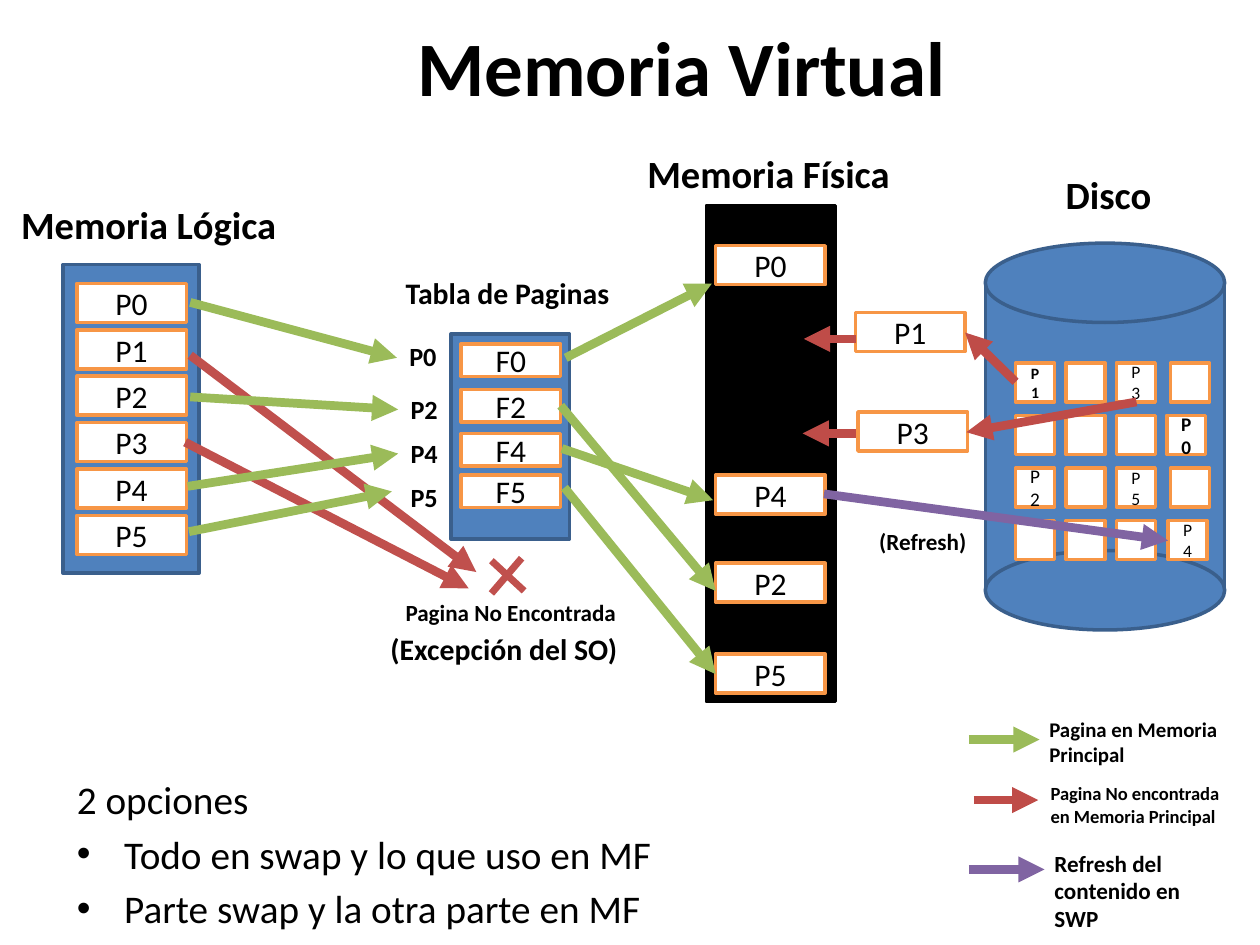
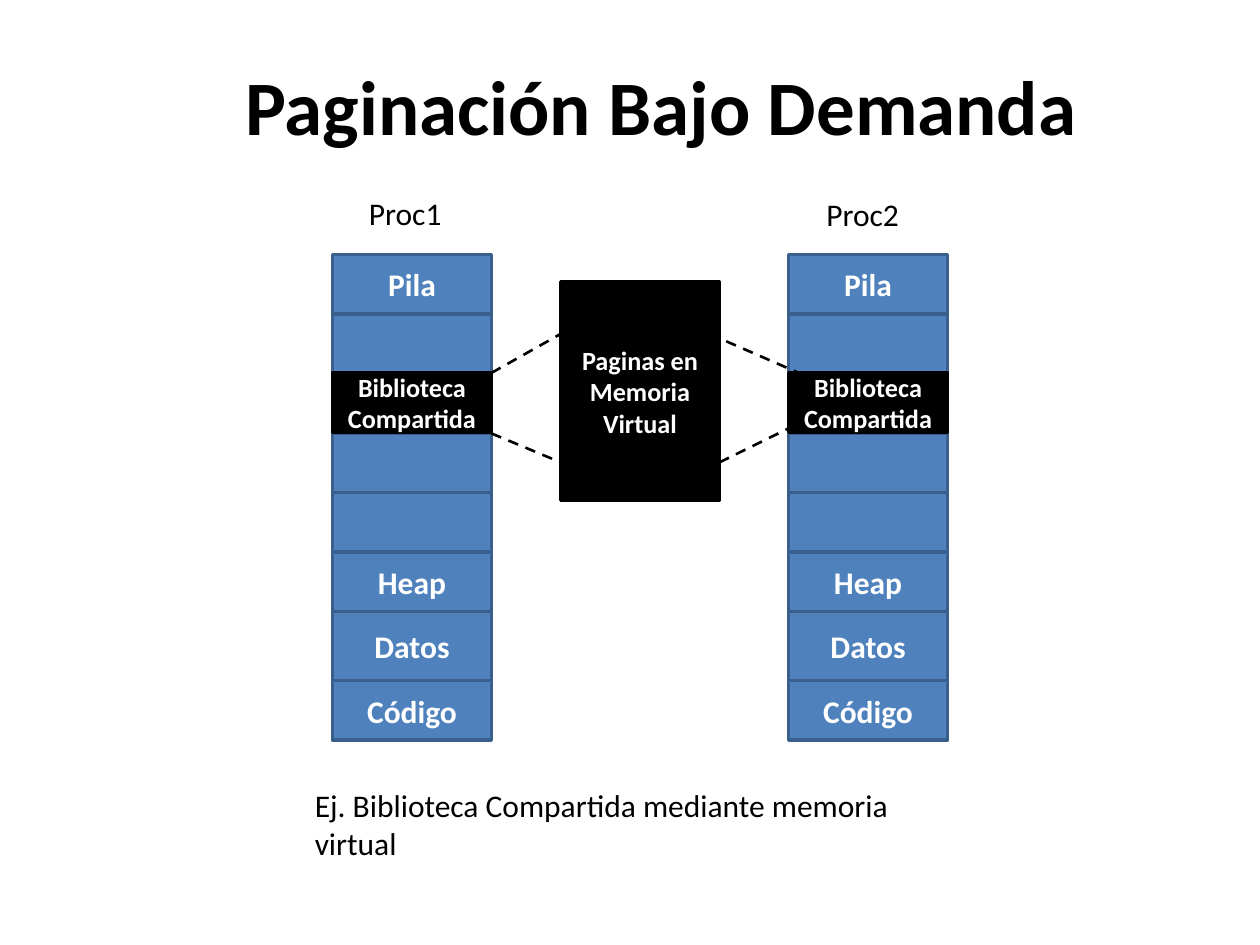
from lxml import etree
from pptx import Presentation
from pptx.dml.color import RGBColor
from pptx.enum.dml import MSO_LINE
from pptx.enum.shapes import MSO_CONNECTOR, MSO_SHAPE
from pptx.enum.text import MSO_ANCHOR, MSO_AUTO_SIZE, PP_ALIGN
from pptx.oxml.ns import qn
from pptx.util import Inches, Pt

BLACK, WHITE = "000000", "FFFFFF"
BLUE, NAVY, ORANGE = "4F81BD", "3A5F8C", "F79646"
GREEN, RED, BRICK, PURPLE = "9BBB59", "C0504D", "BF4C48", "8064A2"
hue = RGBColor.from_string
rect, oval = MSO_SHAPE.RECTANGLE, MSO_SHAPE.OVAL
bold = {"name": "Calibri", "bold": True}
plain = {"name": "Calibri", "bold": False}
page = (rect, WHITE, ORANGE)
frame = (rect, BLUE, NAVY)
dark = (rect, BLACK, BLACK)


def box(slide, look, x, y, w, h, text="", size=18, style=plain, ink=BLACK):
    place = [Inches(v) for v in (x, y, w, h)]
    if look:
        kind, fill, edge = look
        shape = slide.shapes.add_shape(kind, *place)
        shape.shadow.inherit = False
        shape.fill.solid()
        shape.fill.fore_color.rgb = hue(fill)
        shape.line.color.rgb = hue(edge)
        shape.line.width = Pt(2)
    else:
        shape = slide.shapes.add_textbox(*place)
    frm = shape.text_frame
    frm.word_wrap = True
    if text:
        frm.vertical_anchor = MSO_ANCHOR.MIDDLE if look else MSO_ANCHOR.TOP
        para = frm.paragraphs[0]
        para.alignment = PP_ALIGN.CENTER if look else PP_ALIGN.LEFT
        run = para.add_run()
        run.text = text
        for key, val in {**style, "size": Pt(size)}.items():
            setattr(run.font, key, val)
        run.font.color.rgb = hue(ink)


def link(slide, color, x1, y1, x2, y2, width=5, head=True, dash=None):
    ends = [Inches(v) for v in (x1, y1, x2, y2)]
    line = slide.shapes.add_connector(MSO_CONNECTOR.STRAIGHT, *ends)
    line.line.color.rgb = hue(color)
    line.line.width = Pt(width)
    if dash:
        line.line.dash_style = dash
    if head:
        etree.SubElement(line.line._get_or_add_ln(), qn("a:tailEnd"), type="triangle")
    etree.SubElement(line._element.spPr, qn("a:effectLst"))


deck = Presentation()
deck.slide_width, deck.slide_height = Inches(10), Inches(7.5)
slides = []
for layout, text, x, y in [
    (1, "Memoria Virtual", 0.91, -0.1),
    (5, "Paginación Bajo Demanda", 0.75, 0.21),
]:
    slide = deck.slides.add_slide(deck.slide_layouts[layout])
    title = slide.shapes.title
    spot = {"left": x, "top": y, "width": 9, "height": 1.25}
    for key, val in spot.items():
        setattr(title, key, Inches(val))
    title.text = text
    for key, val in {**bold, "size": Pt(44)}.items():
        setattr(title.text_frame.paragraphs[0].font, key, val)
    slides.append(slide)
memory, demand = slides

body = memory.placeholders[1]
spot = {"left": 0.51, "top": 6.1, "width": 4.89, "height": 1.25}
for key, val in spot.items():
    setattr(body, key, Inches(val))
body.text_frame.text = (
    "2 opciones\nTodo en swap y lo que uso en MF\nParte swap y la otra parte en MF"
)
body.text_frame.auto_size = MSO_AUTO_SIZE.NONE
for i, para in enumerate(body.text_frame.paragraphs):
    para.space_before = Pt(4.5 if i else 0)
    if i == 0:
        props = para._p.get_or_add_pPr()
        props.set("marL", "0")
        props.set("indent", "0")
        etree.SubElement(props, qn("a:buNone"))
    for key, val in {**plain, "size": Pt(22.4)}.items():
        setattr(para.font, key, val)

box(memory, dark, 5.61, 1.63, 1.02, 3.94)
for name, x, y in [
    ("P0", 5.68, 1.95), ("P4", 5.68, 3.77), ("P2", 5.68, 4.47),
    ("P5", 5.68, 5.19), ("P1", 6.79, 2.48), ("P3", 6.81, 3.27),
]:
    box(memory, page, x, y, 0.87, 0.31, name)

box(memory, frame, 0.5, 2.1, 1.08, 2.45)
for i in range(6):
    box(memory, page, 0.61, 2.25 + 0.368 * i, 0.87, 0.31, f"P{i}")

box(memory, frame, 7.82, 2.25, 1.9, 2.44)
for y in (4.37, 1.93):
    box(memory, (oval, BLUE, NAVY), 7.82, y, 1.9, 0.63)
swap = {
    (0, 0): ("P1", 9, bold), (0, 2): ("P3", 10, plain),
    (1, 3): ("P0", 11, bold), (2, 0): ("P2", 11, plain),
    (2, 2): ("P5", 10, plain), (3, 3): ("P4", 10, plain),
}
for row, last in enumerate((9.29, 9.26, 9.29, 9.27)):
    for col, x in enumerate((8.06, 8.46, 8.86, last)):
        box(memory, page, x, 2.88 + 0.417 * row, 0.31, 0.31, *swap.get((row, col), ()))

box(memory, frame, 3.58, 2.65, 0.94, 1.63)
for num, x, y, top in [
    (0, 3.15, 2.65, 2.73), (2, 3.16, 3.07, 3.09),
    (4, 3.16, 3.42, 3.44), (5, 3.16, 3.77, 3.77),
]:
    box(memory, page, 3.66, top, 0.79, 0.26, f"F{num}")
    box(memory, None, x, y, 0.58, 0.38, f"P{num}", 15, bold)

for text, size, x, y, w, h in [
    ("Memoria Lógica", 22, 0.07, 1.55, 2.34, 0.55),
    ("Memoria Física", 22, 5.04, 1.14, 2.34, 0.55),
    ("Disco", 22, 8.36, 1.31, 0.91, 0.55),
    ("Tabla de Paginas", 17, 3.12, 2.13, 1.88, 0.46),
    ("Pagina No Encontrada", 13.2, 3.12, 4.7, 1.88, 0.46),
    ("(Excepción del SO)", 17, 3, 4.96, 2.41, 0.78),
    ("(Refresh)", 13.2, 6.88, 4.14, 0.93, 0.46),
    ("Pagina en Memoria Principal", 11.9, 8.23, 5.64, 1.58, 0.46),
    ("Pagina No encontrada en Memoria Principal", 10.6, 8.24, 6.16, 1.66, 0.43),
    ("Refresh del contenido en SWP", 13.2, 8.27, 6.69, 1.58, 0.46),
]:
    box(memory, None, x, y, w, h, text, size, bold)

for color, *ends in [
    (GREEN, 1.51, 2.4, 3.15, 2.84),
    (GREEN, 4.49, 2.84, 5.65, 2.25),
    (RED, 1.51, 2.82, 3.78, 4.54),
    (GREEN, 1.51, 3.15, 3.16, 3.25),
    (GREEN, 4.45, 3.22, 5.68, 4.69),
    (RED, 1.47, 3.51, 3.72, 4.67),
    (GREEN, 1.49, 3.86, 3.16, 3.6),
    (GREEN, 4.46, 3.56, 5.66, 3.97),
    (GREEN, 1.5, 4.22, 3.11, 3.9),
    (GREEN, 4.48, 3.87, 5.68, 5.35),
    (BRICK, 8.06, 3.03, 7.66, 2.64),
    (BRICK, 6.79, 2.69, 6.38, 2.69),
    (PURPLE, 6.54, 3.92, 9.27, 4.29),
    (BRICK, 6.79, 3.44, 6.37, 3.44),
    (BRICK, 9.02, 3.19, 7.67, 3.43),
    (GREEN, 7.69, 5.87, 8.25, 5.87),
    (BRICK, 7.73, 6.35, 8.24, 6.35),
    (PURPLE, 7.69, 6.9, 8.29, 6.9),
]:
    link(memory, color, *ends)
for ends in [(3.9, 4.45, 4.16, 4.69), (4.14, 4.43, 3.9, 4.71)]:
    link(memory, RED, *ends, width=4, head=False)

parts = ["Pila", "", "Biblioteca Compartida", "", "", "Heap", "Datos", "Código"]
for name, x, left, top in [("Proc1", 2.64, 2.83, 1.49), ("Proc2", 6.26, 6.46, 1.5)]:
    box(demand, None, left, top, 1.06, 0.4, name)
    y = 2.02
    for part in parts:
        tall = 0.55 if part == "Datos" else 0.472
        if part != "Biblioteca Compartida":
            box(demand, frame, x, y, 1.26, tall, part, 18, bold, WHITE)
        y += tall
    box(demand, dark, x, 2.96, 1.26, 0.47, parts[2], 15, bold, WHITE)

box(demand, dark, 4.45, 2.24, 1.26, 1.73, "Paginas en Memoria Virtual", 15, bold, WHITE)
for ends in [
    (3.9, 2.96, 4.45, 2.65), (3.9, 3.44, 4.45, 3.67),
    (5.63, 2.65, 6.34, 2.96), (5.71, 3.67, 6.34, 3.36),
]:
    link(demand, BLACK, *ends, width=1.5, head=False, dash=MSO_LINE.DASH)
box(demand, None, 2.4, 6.19, 5.28, 0.71,
    "Ej. Biblioteca Compartida mediante memoria virtual")

deck.save("out.pptx")
